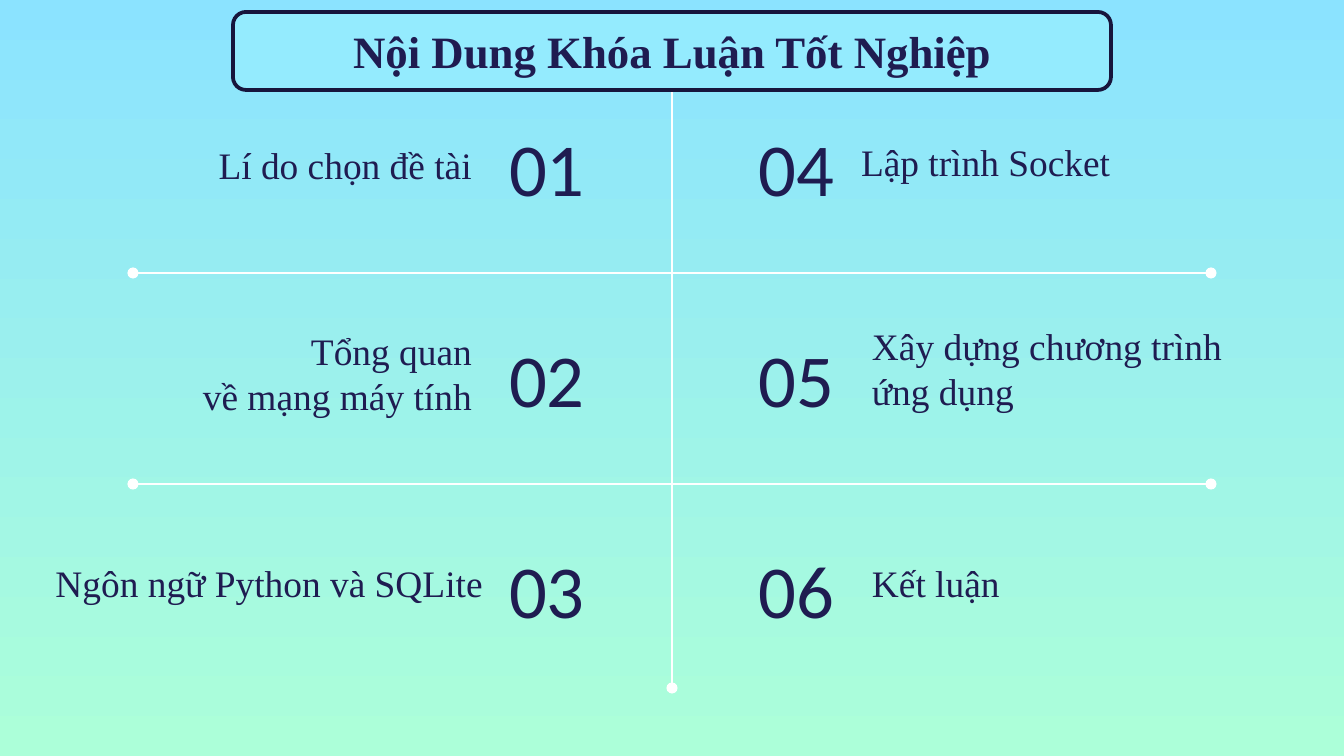
import pptx
import pptx.util
import pptx.dml.color
import pptx.enum.shapes
import pptx.enum.text
import pptx.oxml
import pptx.oxml.ns

SCALE = 914400 / 134.4  # EMU per px
COLORS = {
    "sky": "8BE3FF", "mint": "ACFFD9", "ink": "1F1C51",
    "line": "FFFFFF", "title_fill": "94EBFE", "title_line": "17153C",
}
SERIF = "Times New Roman"
ALIGN = pptx.enum.text.PP_ALIGN
ANCHOR = pptx.enum.text.MSO_ANCHOR

ROW_TOP, ROW_PITCH = 109, 211
NUMBER_W, NUMBER_H = 175, 116
CENTER = 672

# Text lines and box (left, top, width, height) of each topic
LEFT_TOPICS = [
    (["Lí do chọn đề tài"], (85, 133, 400, 67)),
    (["Tổng quan", " về mạng máy tính"], (22, 313, 463, 118)),
    (["Ngôn ngữ Python và SQLite"], (32, 551, 464, 67)),
]
RIGHT_TOPICS = [
    (["Lập trình Socket"], (848, 125, 464, 72)),
    (["Xây dựng chương trình ứng dụng"], (859, 359, 400, 67)),
    (["Kết luận"], (859, 551, 400, 67)),
]


def px(n):
    return pptx.util.Emu(round(n * SCALE))


def rgb(name):
    return pptx.dml.color.RGBColor.from_string(COLORS[name])


def write(tf, lines, size, font, align, anchor, bold=False):
    tf.word_wrap = True
    tf.vertical_anchor = anchor
    p = tf.paragraphs[0]
    p.alignment = align
    for i, text in enumerate(lines):
        if i:
            p.add_line_break()
        r = p.add_run()
        r.text = text
        r.font.size = pptx.util.Pt(size)
        r.font.name = font
        r.font.bold = bold
        r.font.color.rgb = rgb("ink")


def add_text(s, box, lines, size, font, align, anchor):
    tf = s.shapes.add_textbox(*map(px, box)).text_frame
    tf.margin_left = tf.margin_right = px(13)
    tf.margin_top = tf.margin_bottom = px(13)
    write(tf, lines, size, font, align, anchor)


def add_divider(s, x1, y1, x2, y2):
    c = s.shapes.add_connector(
        pptx.enum.shapes.MSO_CONNECTOR.STRAIGHT, px(x1), px(y1), px(x2), px(y2))
    c.line.color.rgb = rgb("line")
    c.line.width = pptx.util.Pt(1.5)
    ln = c.line._get_or_add_ln()
    for end in ("a:headEnd", "a:tailEnd"):
        ln.append(pptx.oxml.parse_xml(
            f'<{end} {pptx.oxml.ns.nsdecls("a")} type="oval"/>'))
    c._element.spPr.append(pptx.oxml.parse_xml(
        f'<a:effectLst {pptx.oxml.ns.nsdecls("a")}/>'))


def add_title(s, box, text):
    sp = s.shapes.add_shape(
        pptx.enum.shapes.MSO_SHAPE.ROUNDED_RECTANGLE, *map(px, box))
    sp.shadow.inherit = False
    sp.fill.solid()
    sp.fill.fore_color.rgb = rgb("title_fill")
    sp.line.color.rgb = rgb("title_line")
    sp.line.width = pptx.util.Pt(2)
    write(sp.text_frame, [text], 24, SERIF, ALIGN.CENTER, ANCHOR.MIDDLE, bold=True)


def set_background(s):
    fill = s.background.fill
    fill.gradient()
    fill.gradient_angle = 270
    for stop, name, position in zip(fill.gradient_stops, ("sky", "mint"), (0, 1)):
        stop.color.rgb = rgb(name)
        stop.position = position


def add_column(s, topics, first, number_left, number_align, topic_align):
    for i, (lines, box) in enumerate(topics):
        number_box = (number_left, ROW_TOP + i * ROW_PITCH, NUMBER_W, NUMBER_H)
        add_text(s, number_box, [f"{first + i:02d}"], 40, "Calibri",
                 number_align, ANCHOR.MIDDLE)
        add_text(s, box, lines, 20, SERIF, topic_align, ANCHOR.BOTTOM)


def main():
    prs = pptx.Presentation()
    prs.slide_width, prs.slide_height = px(1344), px(756)
    s = prs.slides.add_slide(prs.slide_layouts[6])
    set_background(s)

    # Dividing lines
    add_divider(s, CENTER, 69, CENTER, 688)
    for i in range(2):
        y = 273 + i * ROW_PITCH
        add_divider(s, 133, y, 1211, y)

    # Numbered topics on both sides of the centre line
    add_column(s, LEFT_TOPICS, 1, CENTER - NUMBER_W - 1, ALIGN.LEFT, ALIGN.RIGHT)
    add_column(s, RIGHT_TOPICS, 4, CENTER, ALIGN.RIGHT, ALIGN.LEFT)

    # Title covers the top end of the centre line
    add_title(s, (233, 12, 878, 78), "Nội Dung Khóa Luận Tốt Nghiệp")

    prs.save("out.pptx")


if __name__ == "__main__":
    main()
